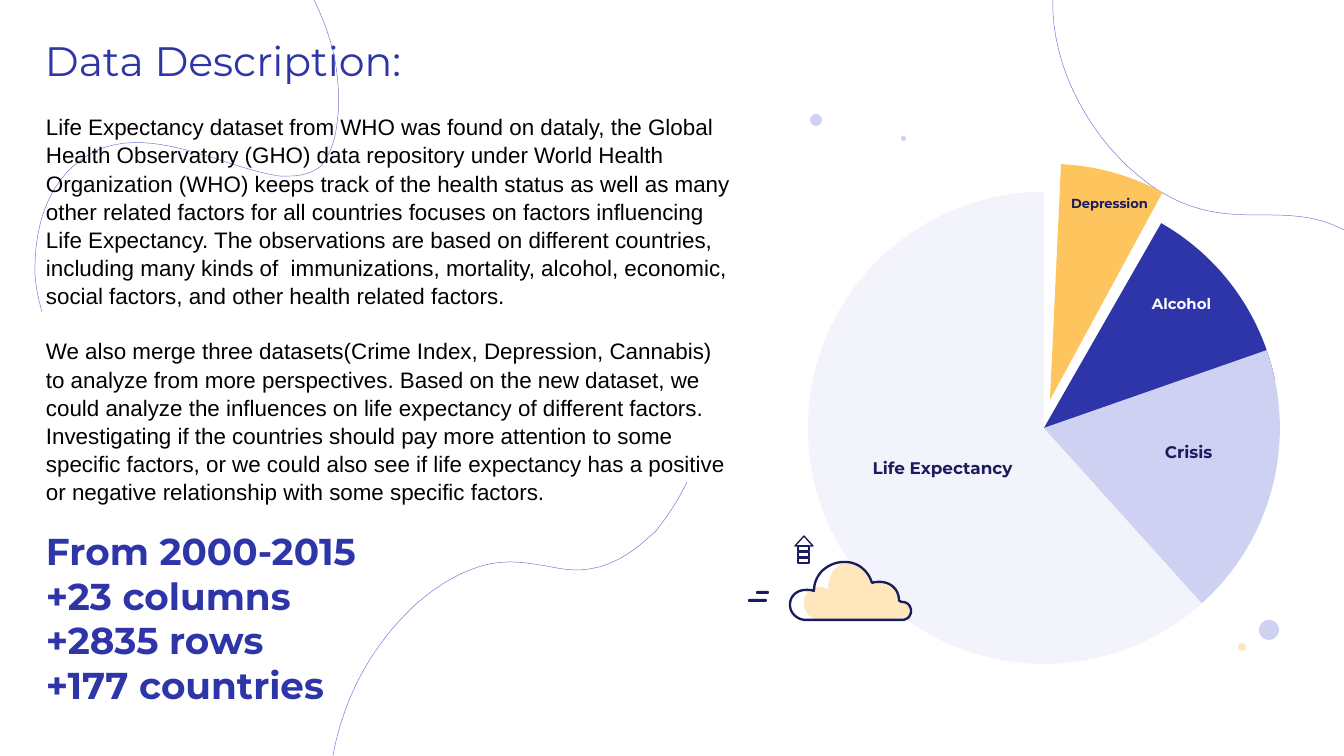
from lxml import etree
from pptx import Presentation
from pptx.dml.color import RGBColor
from pptx.enum.shapes import MSO_SHAPE
from pptx.enum.text import MSO_ANCHOR, MSO_AUTO_SIZE, PP_ALIGN
from pptx.oxml.ns import qn
from pptx.util import Emu, Pt

PX = 914400 / 134.4
FINE = 10
STEPS = 16

PIE, OVAL = MSO_SHAPE.PIE, MSO_SHAPE.OVAL
RECTANGLE, TRIANGLE = MSO_SHAPE.RECTANGLE, MSO_SHAPE.ISOSCELES_TRIANGLE
ROUNDED = MSO_SHAPE.ROUNDED_RECTANGLE
LEFT, CENTER = PP_ALIGN.LEFT, PP_ALIGN.CENTER
TOP = MSO_ANCHOR.TOP
NO_AUTOFIT = MSO_AUTO_SIZE.NONE

INDIGO = RGBColor(0x2E, 0x35, 0xA8)
LAVENDER = RGBColor(0xCF, 0xD1, 0xF2)
PERIWINKLE = RGBColor(0x72, 0x77, 0xD8)
NAVY = RGBColor(0x19, 0x1C, 0x5D)
AMBER = RGBColor(0xFE, 0xC5, 0x5E)
CREAM = RGBColor(0xFF, 0xE7, 0xBD)
WHITE = RGBColor(0xFF, 0xFF, 0xFF)
BLACK = RGBColor(0, 0, 0)

DESCRIPTION = [
    "Life Expectancy dataset from WHO was found on dataly, the Global Health "
    "Observatory (GHO) data repository under World Health Organization (WHO) "
    "keeps track of the health status as well as many other related factors for "
    "all countries focuses on factors influencing Life Expectancy. The "
    "observations are based on different countries, including many kinds of  "
    "immunizations, mortality, alcohol, economic, social factors, and other "
    "health related factors.",
    "We also merge three datasets(Crime Index, Depression, Cannabis) to analyze "
    "from more perspectives. Based on the new dataset, we could analyze the "
    "influences on life expectancy of different factors. Investigating if the "
    "countries should pay more attention to some specific factors, or we could "
    "also see if life expectancy has a positive or negative relationship with "
    "some specific factors.",
]
FIGURES = ["From 2000-2015", "+23 columns", "+2835 rows", "+177 countries"]

WAVES = [
    [(333, 756), (338, 729), (346, 705), (358, 681), (372, 653), (391, 628),
     (413, 607), (435, 587), (458, 573), (482, 566), (507, 559), (527, 563),
     (546, 566), (566, 570), (586, 574), (613, 562), (629, 555), (642, 544),
     (656, 531), (667, 517), (677, 503), (687, 482)],
    [(314, 0), (324, 20), (331, 40), (335, 60), (339, 83), (340, 105),
     (337, 124), (335, 142), (329, 157), (320, 167), (309, 175), (297, 177),
     (278, 176), (262, 173), (243, 168), (223, 161), (176, 146), (122, 129),
     (81, 160), (39, 190), (35, 246), (35, 269), (35, 284), (38, 297),
     (42, 312)],
    [(1053, 0), (1051, 66), (1090, 141), (1149, 184), (1191, 214),
     (1227, 215), (1261, 215), (1289, 215), (1316, 215), (1344, 230)],
]

CLOUD_RIGHT = [
    (902, 620), (902, 620), (902, 620), (914, 620), (914, 602), (902, 602),
    (901, 602), (900, 601), (899, 601), (899, 588), (889, 582), (880, 582),
    (877, 582), (875, 582), (872, 583), (868, 570), (857, 562), (845, 562)]
CLOUD = [(806, 620)] + CLOUD_RIGHT + [
    (828, 562), (814, 574), (814, 591), (811, 590), (808, 590), (806, 590),
    (797, 590), (790, 596), (790, 605), (790, 613), (797, 620), (806, 620)]
CLOUD_SHADE = [(820, 620)] + CLOUD_RIGHT + [
    (834, 566), (828, 577), (828, 590), (825, 588), (822, 587), (820, 587),
    (811, 587), (804, 594), (804, 603), (804, 612), (811, 620), (820, 620)]

SLICES = [
    ((808, 192), 299.8, 348.34, INDIGO, 100),
    ((808, 192), 31.88, 270, LAVENDER, 25),
    ((808, 192), 340.75, 47.98, LAVENDER, 100),
    ((814, 164), 272.69, 298.49, AMBER, 100),
]
SLICE_LABELS = [
    ("Life Expectancy", (826, 453, 233, 31), 9, NAVY),
    ("Crisis", (1072, 437, 233, 31), 9, NAVY),
    ("Alcohol", (1141, 290, 81, 27), 8, WHITE),
    ("Depression", (1059, 190, 101, 26), 7, NAVY),
]
DOTS = [(1238, 643, 8, CREAM), (1259, 620, 20, LAVENDER),
        (901, 136, 5, LAVENDER), (810, 114, 12, LAVENDER)]


def px(*lengths):
    return [Emu(round(length * PX)) for length in lengths]


def paint(shape, fill=None, line=None, width=1.0):
    shape.shadow.inherit = False
    if fill is None:
        shape.fill.background()
    else:
        shape.fill.solid()
        shape.fill.fore_color.rgb = fill
    if line is None:
        shape.line.fill.background()
    else:
        shape.line.color.rgb = line
        shape.line.width = Pt(width)


def add_preset(shapes, preset, box, fill=None, line=None, width=1.0):
    shape = shapes.add_shape(preset, *px(*box))
    paint(shape, fill, line, width)
    return shape


def bezier(a, b, c, d, t):
    u = 1 - t
    return tuple(FINE * (u**3 * p + 3 * u * u * t * q + 3 * u * t * t * r + t**3 * s)
                 for p, q, r, s in zip(a, b, c, d))


def add_curve(shapes, knots, close=False, **style):
    points = [bezier(*knots[i:i + 4], step / STEPS)
              for i in range(0, len(knots) - 1, 3)
              for step in range(1, STEPS + 1)]
    x, y = knots[0]
    builder = shapes.build_freeform(x * FINE, y * FINE, scale=PX / FINE)
    builder.add_line_segments(points, close=close)
    paint(builder.convert_to_shape(), **style)


def add_slice(shapes, corner, start, end, color, opacity):
    pie = add_preset(shapes, PIE, (*corner, 472, 472), color)
    pie.adjustments[0] = start * 0.6
    pie.adjustments[1] = end * 0.6
    if opacity < 100:
        tint = pie.fill._xPr.find(qn("a:solidFill"))[0]
        etree.SubElement(tint, qn("a:alpha")).set("val", str(opacity * 1000))


def write(shape, lines, size, font, color, bold=False, align=LEFT,
          wrap=True, spacing=1.0, gap=0):
    frame = shape.text_frame
    frame.text = "\n".join(lines)
    frame.word_wrap = wrap
    frame.auto_size = NO_AUTOFIT
    frame.vertical_anchor = TOP
    frame.margin_left, frame.margin_right = px(10, 10)
    frame.margin_top, frame.margin_bottom = px(5, 5)
    for paragraph in frame.paragraphs:
        paragraph.alignment = align
        paragraph.line_spacing = spacing
        paragraph.space_before = Pt(0)
        paragraph.space_after = Pt(gap)
        for run in paragraph.runs:
            run.font.size = Pt(size)
            run.font.name = font
            run.font.bold = bold
            run.font.color.rgb = color


def add_text(shapes, box, lines, size, font, color, **style):
    write(shapes.add_textbox(*px(*box)), lines, size, font, color, **style)


def add_cloud_icon(shapes):
    icon = shapes.add_group_shape().shapes
    for dash in [(748, 599, 19, 3), (756, 591, 13, 3)]:
        add_preset(icon, ROUNDED, dash, NAVY).adjustments[0] = 0.5
    add_curve(icon, CLOUD, close=True, fill=WHITE)
    add_curve(icon, CLOUD_SHADE, close=True, fill=CREAM)
    add_curve(icon, CLOUD, close=True, line=NAVY, width=1.25)
    for step in range(3):
        add_preset(icon, RECTANGLE, (798, 546 + 6 * step, 11, 5), line=NAVY, width=0.75)
    add_preset(icon, TRIANGLE, (795, 536, 18, 10), line=NAVY, width=0.75)


def main():
    deck = Presentation()
    deck.slide_width, deck.slide_height = px(1344, 756)
    slide = deck.slides.add_slide(deck.slide_layouts[5])
    shapes = slide.shapes

    title = shapes.title
    title.left, title.top, title.width, title.height = px(35, 30, 753, 60)
    write(title, ["Data Description:"], 22, "Montserrat", INDIGO)

    for wave in WAVES:
        add_curve(shapes, wave, line=PERIWINKLE, width=0.25)
    for piece in SLICES:
        add_slice(shapes, *piece)
    add_text(shapes, (36, 107, 708, 390), DESCRIPTION, 12, "Arial", BLACK,
             spacing=1.05, gap=14.4)
    for label, box, size, color in SLICE_LABELS:
        add_text(shapes, box, [label], size, "Montserrat", color,
                 bold=True, align=CENTER, wrap=False)
    add_text(shapes, (36, 523, 544, 191), FIGURES, 20, "Montserrat", INDIGO, bold=True)
    for x, y, diameter, color in DOTS:
        add_preset(shapes, OVAL, (x, y, diameter, diameter), color)
    add_cloud_icon(shapes)

    deck.save("out.pptx")


main()
